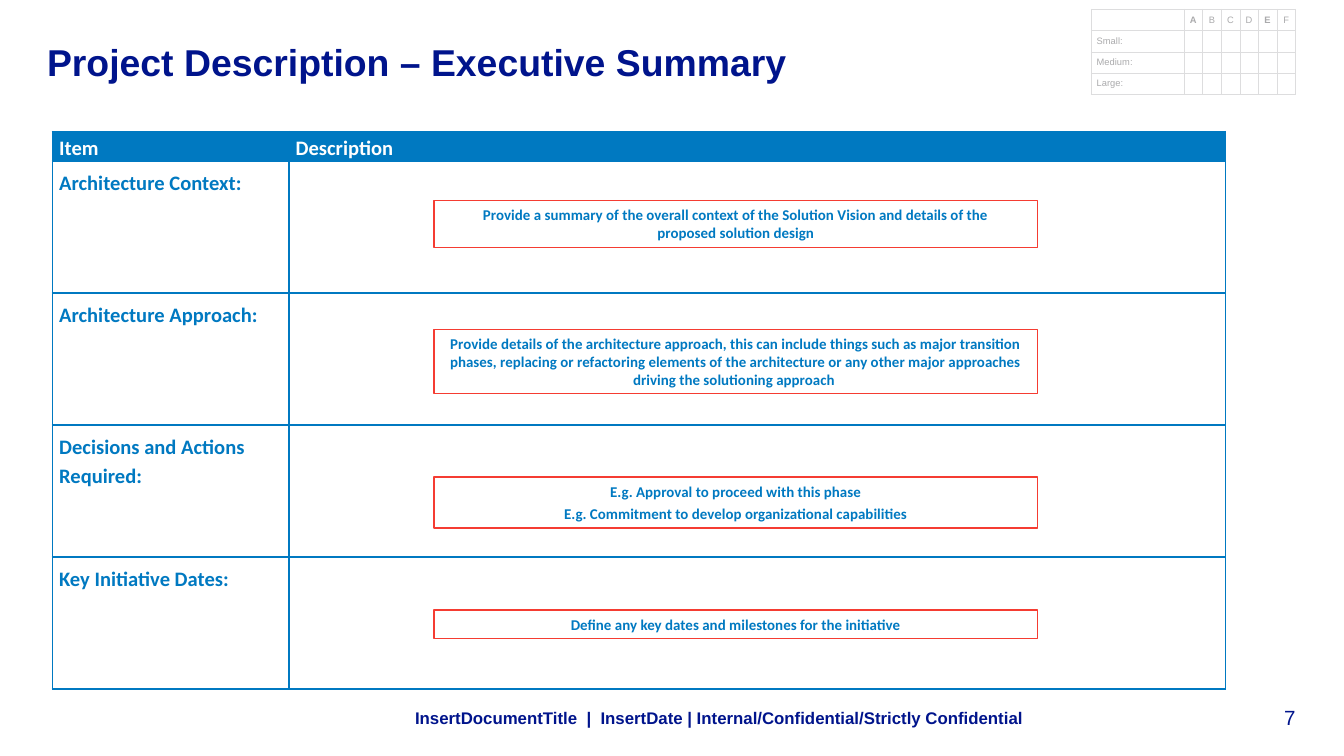
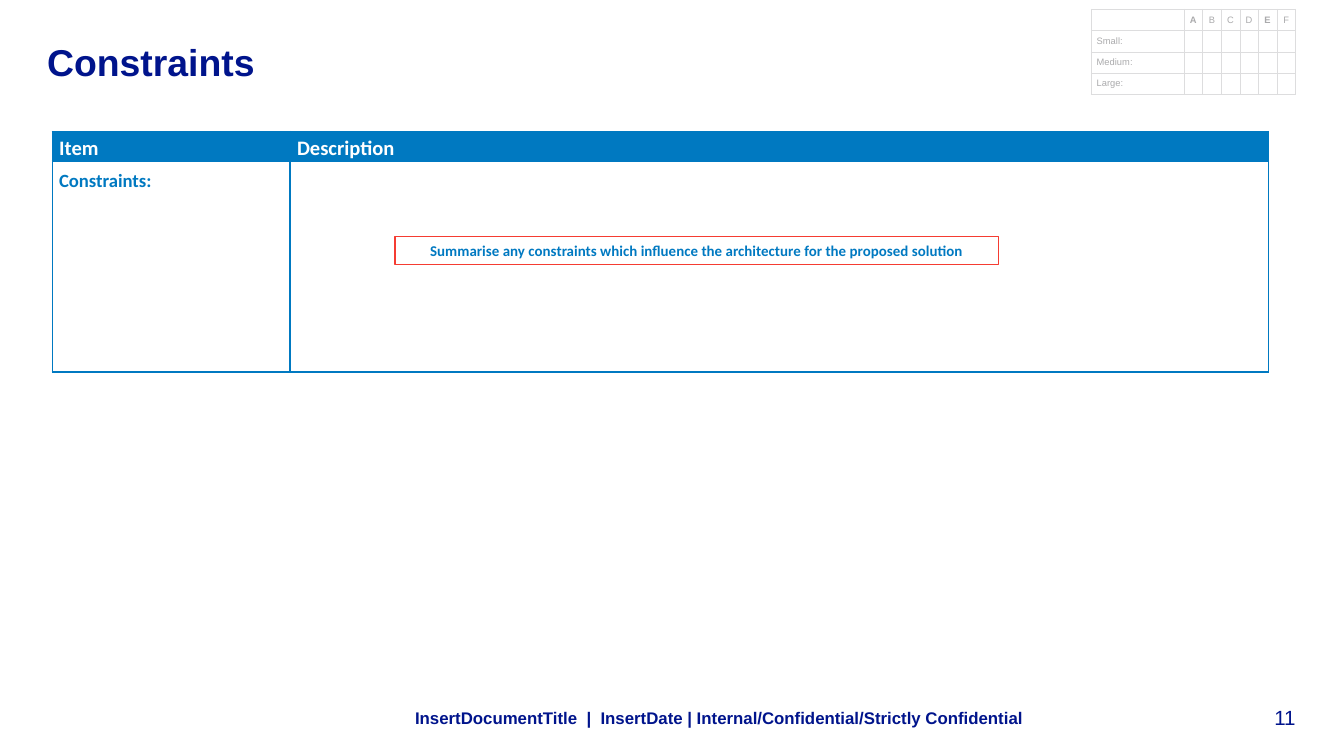
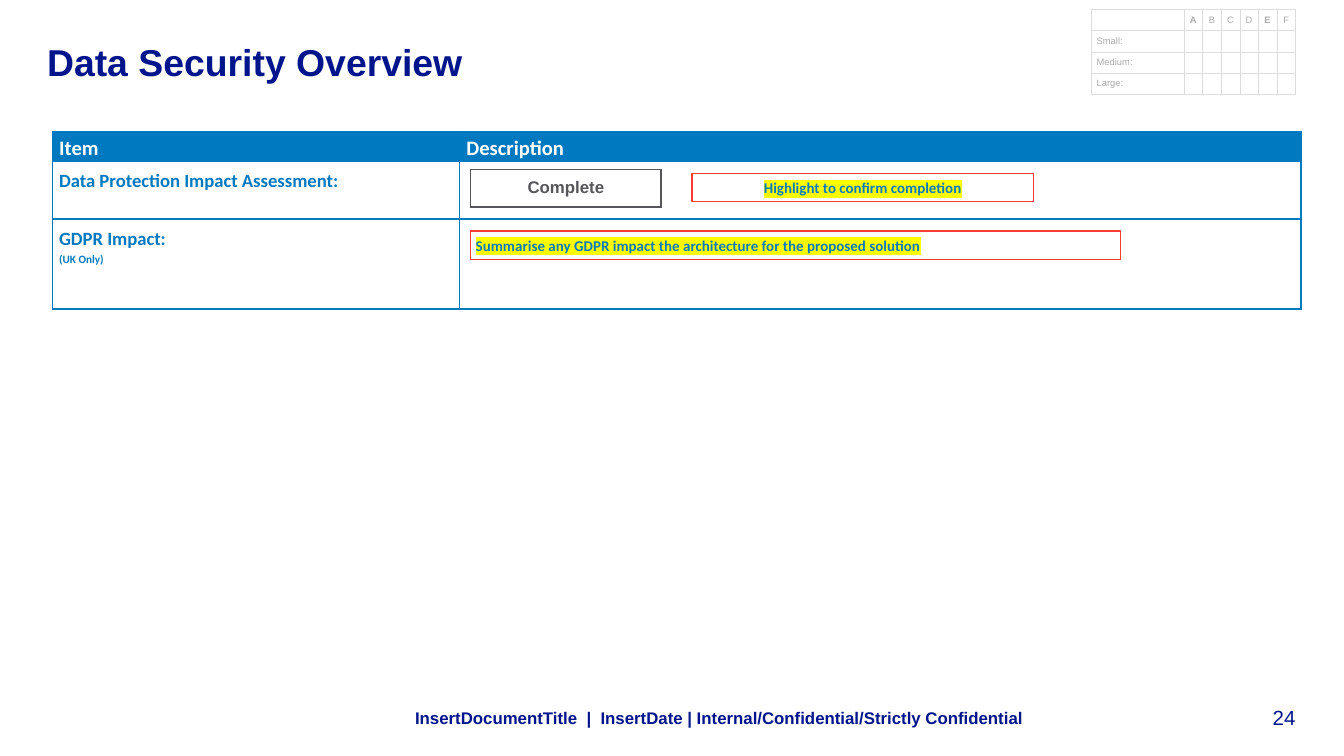
from dataclasses import dataclass
from typing import NamedTuple

import lxml.etree
import pptx
import pptx.dml.color
import pptx.enum.dml
import pptx.enum.shapes
import pptx.enum.text
import pptx.oxml.ns
import pptx.util

Inches = pptx.util.Inches
Pt = pptx.util.Pt
qn = pptx.oxml.ns.qn
ALIGN = pptx.enum.text.PP_ALIGN
ANCHOR = pptx.enum.text.MSO_ANCHOR
AUTO_SIZE = pptx.enum.text.MSO_AUTO_SIZE


@dataclass(frozen=True)
class Theme:
    navy: str = "00148C"
    blue: str = "0079C1"
    red: str = "F53C32"
    grey: str = "55555A"
    grid_line: str = "DDDDDE"
    grid_text: str = "AAAAAC"
    white: str = "FFFFFF"
    yellow: str = "FFFF00"
    sans: str = "Arial"
    body: str = "Calibri"
    title_size: int = 20
    header_size: int = 11
    item_size: int = 10
    button_size: int = 9
    footer_size: int = 9
    note_size: int = 8
    remark_size: int = 6
    grid_size: int = 5


THEME = Theme()
FOOTER = "InsertDocumentTitle  |  InsertDate | Internal/Confidential/Strictly Confidential"
HARD_SPACE = chr(160)


class Box(NamedTuple):
    left: float
    top: float
    width: float
    height: float


class Item(NamedTuple):
    label: str
    height: float
    remark: str = ""


class Note(NamedTuple):
    box: Box
    lines: tuple[str, ...]
    align: ALIGN = ALIGN.CENTER
    highlight: str = ""


class Page(NamedTuple):
    number: int
    title: str
    columns: tuple[float, float]
    items: tuple[Item, ...]
    notes: tuple[Note, ...]
    item_size: int = THEME.item_size
    button: Box | None = None


NOTE_LEFT, NOTE_WIDTH, NOTE_HEIGHT = 3.23, 4.49, 0.21
SUMMARY_LABELS = (
    "Architecture Context:",
    "Architecture Approach:",
    "Decisions and Actions Required:",
    "Key Initiative Dates:",
)

PAGES = (
    Page(
        7,
        "Project Description – Executive Summary",
        (1.76, 6.97),
        tuple(Item(label, 3.93 / len(SUMMARY_LABELS)) for label in SUMMARY_LABELS),
        (
            Note(
                Box(NOTE_LEFT, 4.54, NOTE_WIDTH, NOTE_HEIGHT),
                ("Define any key dates and milestones for the initiative",),
            ),
            Note(
                Box(NOTE_LEFT, 1.49, NOTE_WIDTH, 0.35),
                (
                    "Provide a summary of the overall context of the Solution Vision "
                    f"and details of the proposed{HARD_SPACE}solution design",
                ),
            ),
            Note(
                Box(NOTE_LEFT, 2.45, NOTE_WIDTH, 0.48),
                (
                    "Provide details of the architecture approach, this can include things "
                    "such as major transition phases, replacing or refactoring elements of "
                    "the architecture or any other major approaches driving the "
                    "solutioning approach ",
                ),
            ),
            Note(
                Box(NOTE_LEFT, 3.55, NOTE_WIDTH, 0.38),
                (
                    "E.g. Approval to proceed with this phase",
                    "E.g. Commitment to develop organizational capabilities",
                ),
            ),
        ),
        item_size=THEME.header_size,
    ),
    Page(
        11,
        "Constraints",
        (1.77, 7.28),
        (Item("Constraints:", 1.57),),
        (
            Note(
                Box(2.94, 1.76, NOTE_WIDTH, NOTE_HEIGHT),
                (
                    "Summarise any constraints which influence the architecture "
                    "for the proposed solution",
                ),
            ),
        ),
    ),
    Page(
        24,
        "Data Security Overview",
        (3.03, 6.26),
        (
            Item("Data Protection Impact Assessment:", 0.43),
            Item("GDPR Impact:", 0.67, "(UK Only)"),
        ),
        (
            Note(
                Box(5.15, 1.29, 2.54, NOTE_HEIGHT),
                ("Highlight to confirm completion",),
                highlight=THEME.yellow,
            ),
            Note(
                Box(3.5, 1.72, 4.84, NOTE_HEIGHT),
                ("Summarise any GDPR impact the architecture for the proposed solution",),
                ALIGN.LEFT,
                THEME.yellow,
            ),
        ),
        button=Box(3.5, 1.26, 1.42, 0.28),
    ),
)


def rgb(color: str) -> pptx.dml.color.RGBColor:
    return pptx.dml.color.RGBColor.from_string(color)


def emu(box: Box) -> list:
    return [Inches(v) for v in box]


def add_text(tf, text: str, *, size: float, color: str, font: str = THEME.sans,
             bold: bool = False, align: ALIGN = ALIGN.LEFT, after: float = 0,
             spacing: float | None = None, highlight: str = "") -> None:
    p = tf.paragraphs[0]
    if p.runs:
        p = tf.add_paragraph()
    p.alignment = align
    p.space_after = Pt(after)
    if spacing:
        p.line_spacing = spacing
    r = p.add_run()
    r.text = text
    r.font.size = Pt(size)
    r.font.bold = bold
    r.font.color.rgb = rgb(color)
    if highlight:
        mark = lxml.etree.SubElement(r.font._element, qn("a:highlight"))
        lxml.etree.SubElement(mark, qn("a:srgbClr"), val=highlight)
    r.font.name = font


def set_frame(tf, margin_x: float, margin_y: float, anchor: ANCHOR = ANCHOR.TOP) -> None:
    tf.word_wrap = True
    tf.vertical_anchor = anchor
    tf.margin_left = tf.margin_right = Inches(margin_x)
    tf.margin_top = tf.margin_bottom = Inches(margin_y)


def add_box(slide, box: Box, margin_x: float = 0, margin_y: float = 0,
            anchor: ANCHOR = ANCHOR.TOP):
    tf = slide.shapes.add_textbox(*emu(box)).text_frame
    set_frame(tf, margin_x, margin_y, anchor)
    return tf


def add_grid(slide, left: float, top: float, columns: list[float], rows: list[float]):
    box = Box(left, top, sum(columns), sum(rows))
    tbl = slide.shapes.add_table(len(rows), len(columns), *emu(box)).table
    tbl.first_row = tbl.horz_banding = False
    for column, width in zip(tbl.columns, columns):
        column.width = Inches(width)
    for row, height in zip(tbl.rows, rows):
        row.height = Inches(height)
    return tbl


def style_cell(cell, line: str, widths: tuple[float, float, float, float], *,
               margin_x: float, margin_y: float, anchor: ANCHOR = ANCHOR.TOP,
               fill: str = "", empty_size: int = THEME.header_size) -> None:
    tcPr = cell._tc.get_or_add_tcPr()
    for side, width in zip("LRTB", widths):
        ln = lxml.etree.SubElement(tcPr, qn(f"a:ln{side}"), w=str(Pt(width)))
        solid = lxml.etree.SubElement(ln, qn("a:solidFill"))
        lxml.etree.SubElement(solid, qn("a:srgbClr"), val=line)
    if fill:
        cell.fill.solid()
        cell.fill.fore_color.rgb = rgb(fill)
    else:
        cell.fill.background()
    cell.vertical_anchor = anchor
    cell.margin_left = cell.margin_right = Inches(margin_x)
    cell.margin_top = cell.margin_bottom = Inches(margin_y)
    p = cell.text_frame.paragraphs[0]
    if not p.runs:
        lxml.etree.SubElement(p._p, qn("a:endParaRPr"), sz=str(empty_size * 100))


def add_size_grid(slide) -> None:
    labels = [["", *"ABCDEF"], ["Small:"], ["Medium:"], ["Large:"]]
    letters = len(labels[0]) - 1
    label_width, width, height = 0.69, 1.52, 0.63
    columns = [label_width] + [(width - label_width) / letters] * letters
    tbl = add_grid(slide, 8.12, 0.07, columns, [height / len(labels)] * len(labels))
    thin, thick = 0.25, 0.5
    for i, texts in enumerate(labels):
        for j in range(len(columns)):
            cell = tbl.cell(i, j)
            if j < len(texts) and texts[j]:
                add_text(cell.text_frame, texts[j], size=THEME.grid_size,
                         color=THEME.grid_text, bold=texts[j] in ("A", "E"), after=6,
                         align=ALIGN.CENTER if i == 0 else ALIGN.LEFT)
            widths = (thick if j == 0 else thin, thin,
                      thick if i < 2 else thin, thick if i == 0 else thin)
            style_cell(cell, THEME.grid_line, widths, margin_x=0.04, margin_y=0,
                       anchor=ANCHOR.MIDDLE, empty_size=THEME.grid_size)


def add_item_table(slide, page: Page) -> None:
    rows = [0.22] + [item.height for item in page.items]
    tbl = add_grid(slide, 0.39, 0.98, list(page.columns), rows)
    borders = (1, 1, 1, 1)
    fmt = dict(font=THEME.body, bold=True, spacing=1.15)
    for j, heading in enumerate(("Item", "Description")):
        cell = tbl.cell(0, j)
        add_text(cell.text_frame, heading, size=THEME.header_size, color=THEME.white, **fmt)
        style_cell(cell, THEME.blue, borders, margin_x=0.05, margin_y=0, fill=THEME.blue)
    for i, item in enumerate(page.items, 1):
        tf = tbl.cell(i, 0).text_frame
        add_text(tf, item.label, size=page.item_size, color=THEME.blue, **fmt)
        if item.remark:
            add_text(tf, item.remark, size=THEME.remark_size, color=THEME.blue, **fmt)
        for j in range(len(page.columns)):
            style_cell(tbl.cell(i, j), THEME.blue, borders, margin_x=0.05, margin_y=0.04)


def add_button(slide, box: Box) -> None:
    cell = add_grid(slide, box.left, box.top, [box.width], [box.height]).cell(0, 0)
    add_text(cell.text_frame, "Complete", size=THEME.button_size, color=THEME.grey,
             bold=True, align=ALIGN.CENTER, after=6)
    style_cell(cell, THEME.grey, (1, 1, 1, 1), margin_x=0.1, margin_y=0.04,
               anchor=ANCHOR.MIDDLE)


def add_note(slide, note: Note) -> None:
    sp = slide.shapes.add_shape(pptx.enum.shapes.MSO_SHAPE.RECTANGLE, *emu(note.box))
    sp.shadow.inherit = False
    sp.fill.background()
    sp.line.color.rgb = rgb(THEME.red)
    sp.line.width = Pt(0.75)
    tf = sp.text_frame
    set_frame(tf, 0.04, 0.04)
    tf.auto_size = AUTO_SIZE.SHAPE_TO_FIT_TEXT
    for text in note.lines:
        add_text(tf, text, size=THEME.note_size, color=THEME.blue, font=THEME.body,
                 bold=True, align=note.align, after=2, highlight=note.highlight)


def add_page(prs, page: Page) -> None:
    slide = prs.slides.add_slide(prs.slide_layouts[6])
    tf = add_box(slide, Box(9.06, 5.24, 0.58, 0.19), anchor=ANCHOR.BOTTOM)
    add_text(tf, str(page.number), size=THEME.header_size, color=THEME.navy,
             align=ALIGN.RIGHT)
    add_size_grid(slide)
    tf = add_box(slide, Box(0.35, 0.29, 7.08, 0.47))
    add_text(tf, page.title, size=THEME.title_size, color=THEME.navy, bold=True)
    add_item_table(slide, page)
    tf = add_box(slide, Box(2.99, 5.21, 6.33, 0.26), 0.1, 0.05, ANCHOR.MIDDLE)
    add_text(tf, FOOTER, size=THEME.footer_size, color=THEME.navy, bold=True, after=6)
    if page.button:
        add_button(slide, page.button)
    for note in page.notes:
        add_note(slide, note)


def main() -> None:
    prs = pptx.Presentation()
    prs.slide_width = Inches(10)
    prs.slide_height = Inches(10 * 9 / 16)
    for page in PAGES:
        add_page(prs, page)
    prs.save("out.pptx")


if __name__ == "__main__":
    main()
